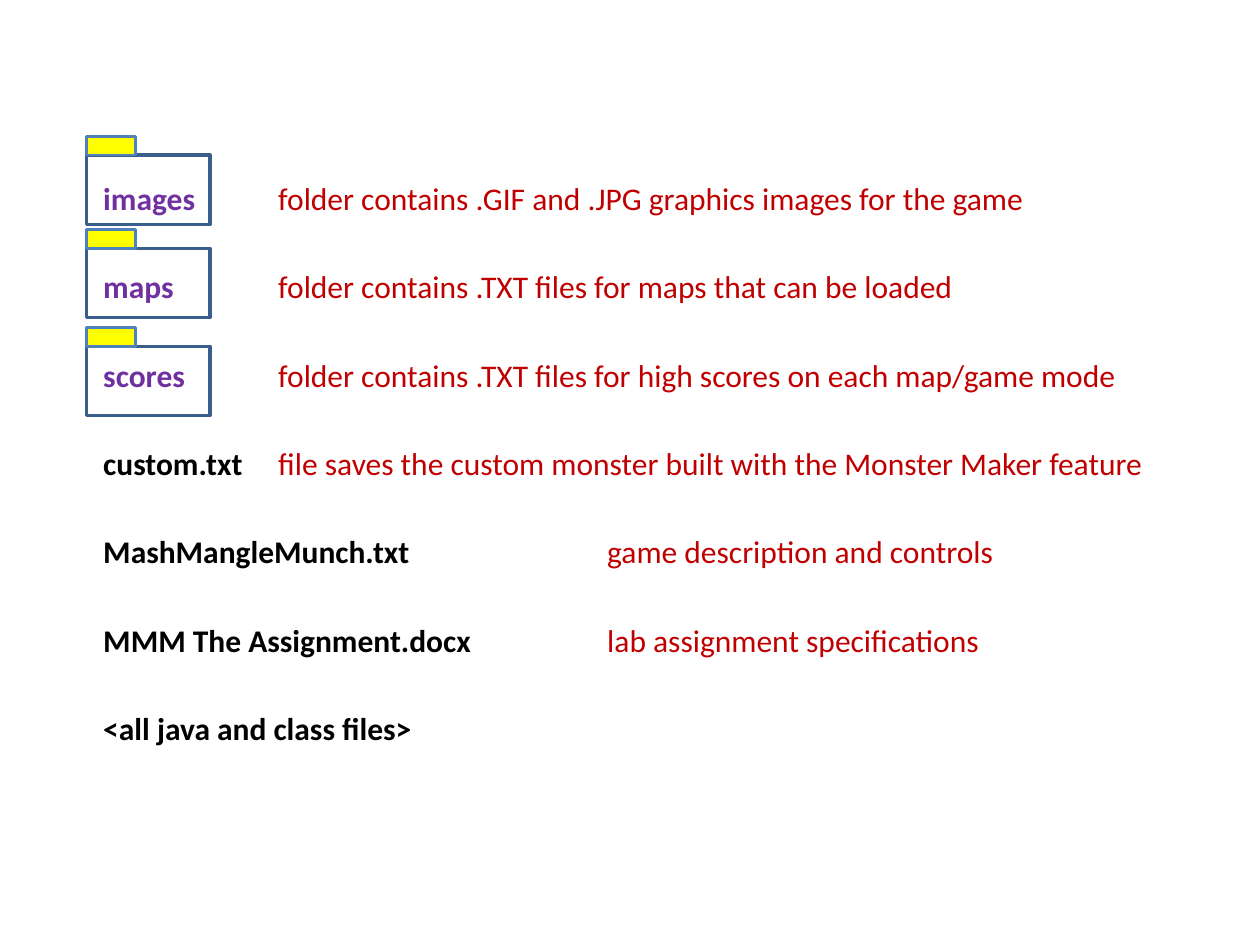
from dataclasses import dataclass

from lxml import etree
from pptx import Presentation
from pptx.dml.color import RGBColor
from pptx.enum import shapes, text
from pptx.oxml import ns
from pptx.util import Pt


@dataclass(frozen=True)
class Theme:
    font: str = "Calibri"
    size: float = 18
    folder_line: float = 2
    tab_line: float = 1.5
    folder_name: str = "7030A0"
    file_name: str = "000000"
    description: str = "C00000"
    folder_edge: str = "3A5F8C"
    tab_edge: str = "4F81BD"
    tab_fill: str = "FFFF00"


THEME = Theme()
NEAR, FAR = 100, 288  # description columns, from the left of the text
ENTRIES = [
    ("images", THEME.folder_name, NEAR, "folder contains .GIF and .JPG graphics images for the game"),
    ("maps", THEME.folder_name, NEAR, "folder contains .TXT files for maps that can be loaded"),
    ("scores", THEME.folder_name, NEAR, "folder contains .TXT files for high scores on each map/game mode"),
    ("custom.txt", THEME.file_name, NEAR, "file saves the custom monster built with the Monster Maker feature"),
    ("MashMangleMunch.txt", THEME.file_name, FAR, "game description and controls"),
    ("MMM The Assignment.docx", THEME.file_name, FAR, "lab assignment specifications"),
    ("<all java and class files>", THEME.file_name, FAR, ""),
]
FOLDER_TOPS = (78, 131.2, 187.2)


def add_words(paragraph, words, color, bold):
    run = paragraph.add_run()
    run.text = words
    run.font.name = THEME.font
    run.font.size = Pt(THEME.size)
    run.font.bold = bold
    run.font.color.rgb = RGBColor.from_string(color)


def set_column(paragraph, position):
    """Drop the bullet and its indent, and make one tab reach the position."""
    props = paragraph._p.get_or_add_pPr()
    props.set("marL", "0")
    props.set("indent", "0")
    props.set("defTabSz", str(Pt(position)))
    etree.SubElement(props, ns.qn("a:buNone"))


def fill_file_list(body, left, top, width, height):
    body.left, body.top, body.width, body.height = map(Pt, (left, top, width, height))
    frame = body.text_frame
    frame.auto_size = text.MSO_AUTO_SIZE.NONE
    for index, (name, color, column, description) in enumerate(ENTRIES):
        paragraph = frame.add_paragraph() if index else frame.paragraphs[0]
        paragraph.space_before = Pt(0)
        paragraph.space_after = Pt(28.9)
        set_column(paragraph, column)
        add_words(paragraph, name, color, True)
        if description:
            add_words(paragraph, "\t" + description, THEME.description, False)


def add_box(slide, left, top, width, height, edge, line, fill=None):
    box = slide.shapes.add_shape(
        shapes.MSO_SHAPE.RECTANGLE, *map(Pt, (left, top, width, height)))
    box.shadow.inherit = False
    box.line.color.rgb = RGBColor.from_string(edge)
    box.line.width = Pt(line)
    if fill:
        box.fill.solid()
        box.fill.fore_color.rgb = RGBColor.from_string(fill)
    else:
        box.fill.background()


def add_folder(slide, left, top, width, height):
    tab_height = 10.7
    add_box(slide, left, top + tab_height, width, height - tab_height,
            THEME.folder_edge, THEME.folder_line)
    add_box(slide, left, top, width * 0.4, tab_height,
            THEME.tab_edge, THEME.tab_line, THEME.tab_fill)


def main():
    deck = Presentation()
    deck.slide_width, deck.slide_height = Pt(720), Pt(540)
    slide = deck.slides.add_slide(deck.slide_layouts[1])
    title = slide.shapes.title
    title._element.getparent().remove(title._element)
    fill_file_list(slide.placeholders[1], 51.8, 98.6, 620.6, 360.7)
    for top in FOLDER_TOPS:
        add_folder(slide, 49.4, top, 70.6, 50.3)
    deck.save("out.pptx")


if __name__ == "__main__":
    main()
